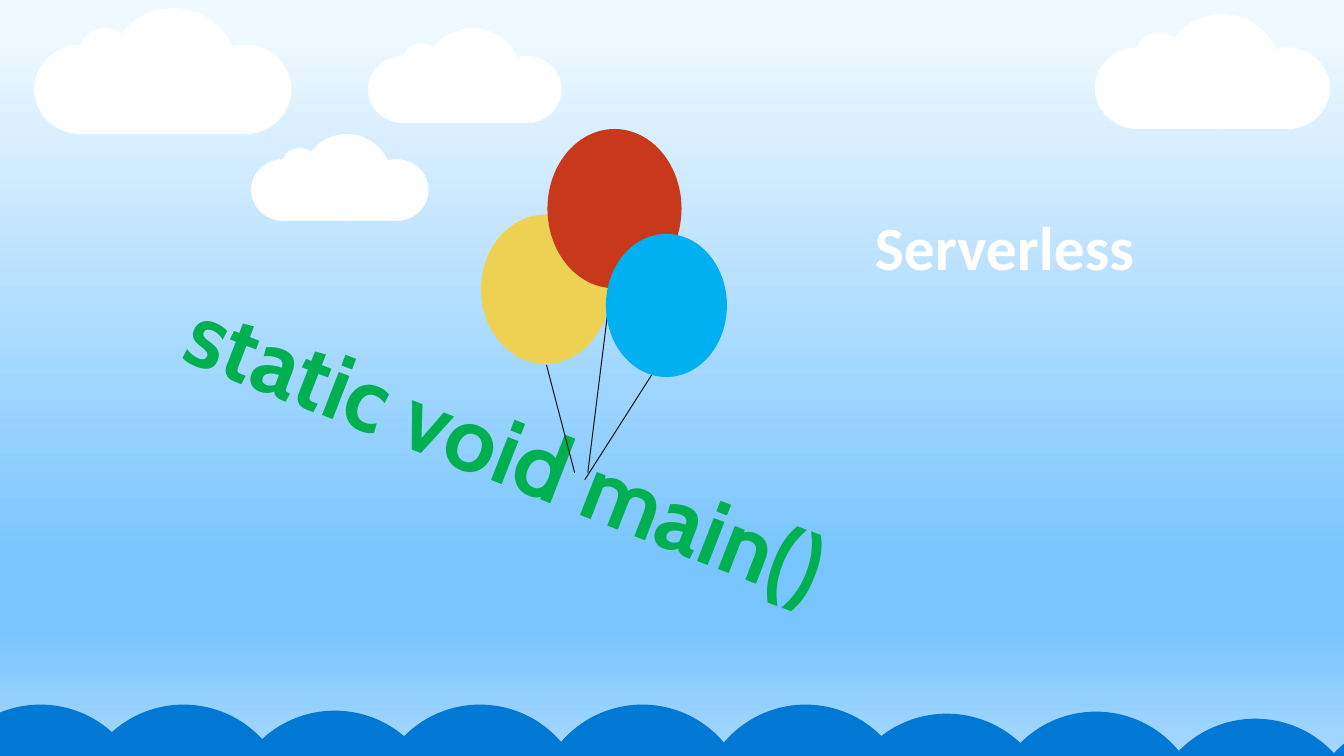
from dataclasses import dataclass

from lxml import etree
from pptx import Presentation
from pptx import util as u
from pptx.dml.color import RGBColor
from pptx.enum import shapes, text
from pptx.oxml.ns import qn


@dataclass(frozen=True)
class Theme:
    """Colours, fonts and sizes of the slide."""
    sky: tuple = ((4, "F0F9FF"), (74, "79C5FF"), (83, "79C5FF"), (100, "A6D8FF"))
    white: str = "FFFFFF"
    sea: str = "0078D4"
    code: str = "00B050"
    yellow: str = "EDD152"
    red: str = "C8381B"
    blue: str = "00B0F0"
    string: str = "1A1A1A"
    title_font: str = "Calibri"
    code_font: str = "Cabin"
    title_size: int = 44
    code_size: int = 66
    string_width: float = 0.75


THEME = Theme()
OVAL = shapes.MSO_SHAPE.OVAL
RECTANGLE = shapes.MSO_SHAPE.RECTANGLE
WAVE = shapes.MSO_SHAPE.FLOWCHART_CONNECTOR

CLOUDS = ((2.49, 1.33, 1.76, 0.86), (3.65, 0.28, 1.92, 0.94),
          (0.34, 0.08, 2.55, 1.25), (10.86, 0.14, 2.33, 1.14))
CLOUD_PARTS = ((OVAL, 0, 0.29, 0.36, 0.71), (OVAL, 0.17, 0.16, 0.21, 0.42),
               (OVAL, 0.29, 0, 0.5, 1), (OVAL, 0.64, 0.29, 0.36, 0.71),
               (RECTANGLE, 0.17, 0.78, 0.68, 0.22))
WAVES = ((0.76, 0), (2.26, 0.06), (3.7, 0), (5.31, 0), (-0.66, 0),
         (6.93, 0), (8.33, 0.09), (9.81, 0.07), (11.39, 0.14), (12.95, 0.14))
STRINGS = ((0.65, 2.34, 0.93, 3.41), (1.29, 1.56, 1.06, 3.41),
           (1.7, 2.43, 1.03, 3.48))


def place(parent, kind, box, colour):
    """Add a plain filled shape in the given box."""
    part = parent.shapes.add_shape(kind, *map(u.Inches, box))
    part.shadow.inherit = False
    part.fill.solid()
    part.fill.fore_color.rgb = RGBColor.from_string(colour)
    part.line.fill.background()


def write(frame, words, font, size, colour):
    """Write one bold run into a text frame."""
    frame.word_wrap = True
    frame.auto_size = text.MSO_AUTO_SIZE.SHAPE_TO_FIT_TEXT
    run = frame.paragraphs[0].add_run()
    run.text = words
    run.font.name, run.font.size, run.font.bold = font, u.Pt(size), True
    run.font.color.rgb = RGBColor.from_string(colour)


def paint_sky(slide):
    """Fill the background with the vertical sky gradient."""
    fill = slide.background.fill
    fill.gradient()
    fill.gradient_angle = 270
    stops = slide.element.find(".//" + qn("a:gsLst"))
    for stop in list(stops):
        stops.remove(stop)
    for percent, colour in THEME.sky:
        stop = etree.SubElement(stops, qn("a:gs"), pos=str(percent * 1000))
        etree.SubElement(stop, qn("a:srgbClr"), val=colour)


def draw_cloud(slide, box):
    """Draw a cloud scaled to the box."""
    left, top, width, height = box
    cloud = slide.shapes.add_group_shape()
    for kind, x, y, w, h in CLOUD_PARTS:
        part_box = (left + x * width, top + y * height, w * width, h * height)
        place(cloud, kind, part_box, THEME.white)


def draw_sea(slide, left, top, diameter):
    """Draw the row of waves along the foot of the slide."""
    sea = slide.shapes.add_group_shape()
    for x, drop in WAVES:
        place(sea, WAVE, (left + x, top + drop, diameter, diameter), THEME.sea)


def draw_string(parent, left, top, ends):
    """Draw one balloon string between two points."""
    x1, y1, x2, y2 = ends
    points = (left + x1, top + y1, left + x2, top + y2)
    string = parent.shapes.add_connector(
        shapes.MSO_CONNECTOR.STRAIGHT, *map(u.Inches, points))
    string.line.color.rgb = RGBColor.from_string(THEME.string)
    string.line.width = u.Pt(THEME.string_width)
    etree.SubElement(string.element.spPr, qn("a:effectLst"))


def draw_balloons(slide, left, top):
    """Draw the tilted code line and the balloons that carry it."""
    flight = slide.shapes.add_group_shape()
    code_box = (left - 3.13, top + 2.82, 7.82, 1.11)
    code = flight.shapes.add_textbox(*map(u.Inches, code_box))
    code.rotation = 21.4
    frame = code.text_frame
    frame.margin_left = frame.margin_right = 0
    frame.margin_top = frame.margin_bottom = 0
    write(frame, "static void main()", THEME.code_font, THEME.code_size, THEME.code)
    place(flight, OVAL, (left, top + 0.85, 1.28, 1.48), THEME.yellow)
    place(flight, OVAL, (left + 0.66, top, 1.33, 1.58), THEME.red)
    for ends in STRINGS:
        draw_string(flight, left, top, ends)
    place(flight, OVAL, (left + 1.24, top + 1.04, 1.2, 1.42), THEME.blue)


def set_title(slide, box):
    """Move the title placeholder to the box and fill it."""
    title = slide.shapes.title
    title.left, title.top, title.width, title.height = map(u.Inches, box)
    frame = title.text_frame
    frame.vertical_anchor = text.MSO_ANCHOR.TOP
    frame.paragraphs[0].alignment = text.PP_ALIGN.CENTER
    write(frame, "Serverless", THEME.title_font, THEME.title_size, THEME.white)


def main():
    """Build and save the slide."""
    deck = Presentation()
    deck.slide_width, deck.slide_height = u.Inches(13.33), u.Inches(7.5)
    slide = deck.slides.add_slide(deck.slide_layouts.get_by_name("Title Only"))
    paint_sky(slide)
    for box in CLOUDS:
        draw_cloud(slide, box)
    draw_sea(slide, 0, 6.99, 2.12)
    set_title(slide, (6.76, 2.02, 6.41, 0.84))
    draw_balloons(slide, 4.77, 1.28)
    deck.save("out.pptx")


if __name__ == "__main__":
    main()
